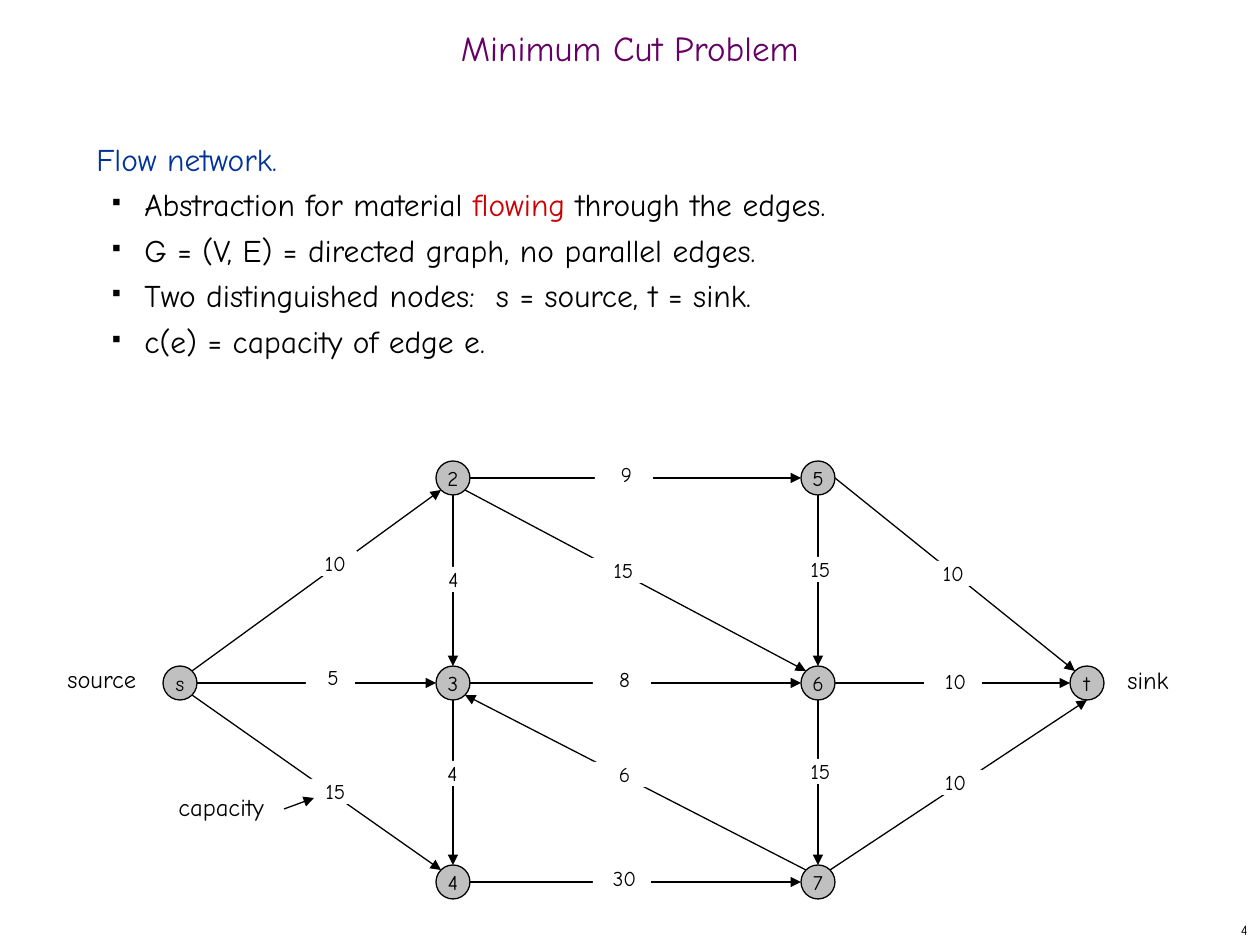
"""Build the Minimum Cut Problem slide with its flow network."""
from dataclasses import dataclass

from lxml.etree import SubElement
from pptx import Presentation
from pptx.dml.color import RGBColor
from pptx.enum.shapes import MSO_CONNECTOR as CONN, MSO_SHAPE as SHAPE
from pptx.enum.text import MSO_ANCHOR as ANCHOR, PP_ALIGN as ALIGN
from pptx.oxml.ns import qn
from pptx.util import Emu, Pt

FONT = "Comic Neue"
BLACK = RGBColor(0x00, 0x00, 0x00)
WHITE = RGBColor(0xFF, 0xFF, 0xFF)
GRAY = RGBColor(0xC0, 0xC0, 0xC0)
BLUE = RGBColor(0x00, 0x33, 0x99)
RED = RGBColor(0xCC, 0x00, 0x00)
PURPLE = RGBColor(0x66, 0x00, 0x66)

PX_PER_INCH = 126
RADIUS = 17
DIAGONAL = 12
LABEL_H = 25
SITES = {
    "N": (0, -RADIUS), "S": (0, RADIUS), "W": (-RADIUS, 0), "E": (RADIUS, 0),
    "NW": (-DIAGONAL, -DIAGONAL), "NE": (DIAGONAL, -DIAGONAL),
    "SW": (-DIAGONAL, DIAGONAL), "SE": (DIAGONAL, DIAGONAL),
}


@dataclass(frozen=True)
class Run:
    text: str
    color: RGBColor = BLACK


@dataclass(frozen=True)
class Node:
    x: int
    y: int


@dataclass(frozen=True)
class Edge:
    start: str
    start_site: str
    end: str
    end_site: str
    capacity: str
    x: int
    y: int
    width: int = 58
    pad: int = 5


@dataclass(frozen=True)
class Caption:
    text: str
    x: int
    y: int
    width: int


COLUMNS = (180, 453, 818, 1087)
ROWS = (478, 683, 882)
NODES = {
    name: Node(COLUMNS[col], ROWS[row])
    for name, col, row in (
        ("s", 0, 1), ("2", 1, 0), ("3", 1, 1), ("4", 1, 2),
        ("5", 2, 0), ("6", 2, 1), ("7", 2, 2), ("t", 3, 1),
    )
}
EDGES = (
    Edge("s", "NE", "2", "SW", "10", 299, 551, pad=15),
    Edge("s", "E", "3", "W", "5", 306, 665, width=49),
    Edge("s", "SE", "4", "NW", "15", 304, 779),
    Edge("2", "E", "5", "W", "9", 595, 462),
    Edge("2", "SE", "6", "NW", "15", 592, 558),
    Edge("2", "S", "3", "N", "4", 422, 567),
    Edge("3", "E", "6", "W", "8", 593, 667),
    Edge("3", "S", "4", "N", "4", 421, 761),
    Edge("4", "E", "7", "W", "30", 593, 866),
    Edge("7", "NW", "3", "SE", "6", 593, 762),
    Edge("5", "S", "6", "N", "15", 789, 557),
    Edge("6", "S", "7", "N", "15", 789, 759),
    Edge("5", "E", "t", "NW", "10", 917, 561, pad=15),
    Edge("6", "E", "t", "W", "10", 924, 669),
    Edge("7", "NE", "t", "S", "10", 924, 770),
)
CAPTIONS = (
    Caption("capacity", 166, 786, 111),
    Caption("source", 55, 658, 94),
    Caption("sink", 1115, 659, 67),
)
HEADING = Run("Flow network.", BLUE)
BULLETS = (
    (Run("Abstraction for material "), Run("flowing", RED), Run(" through the edges.")),
    (Run("G = (V, E) = directed graph, no parallel edges."),),
    (Run("Two distinguished nodes:  s = source, t = sink."),),
    (Run("c(e) = capacity of edge e."),),
)


def px(value: float) -> Emu:
    """Turn pixels into EMU."""
    return Emu(round(value * 914400 / PX_PER_INCH))


def add_runs(p, runs: tuple[Run, ...], size: int) -> None:
    """Append styled runs to a paragraph."""
    for run in runs:
        r = p.add_run()
        r.text = run.text
        r.font.name = FONT
        r.font.size = Pt(size)
        r.font.color.rgb = run.color


def add_text(slide, box: tuple[int, int, int, int], run: Run, size: int,
             align=ALIGN.LEFT, anchor=ANCHOR.TOP, wrap: bool = True):
    """Add a one-paragraph text box and return its paragraph."""
    tf = slide.shapes.add_textbox(*map(px, box)).text_frame
    tf.word_wrap = wrap
    tf.vertical_anchor = anchor
    p = tf.paragraphs[0]
    p.alignment = align
    add_runs(p, (run,), size)
    return p


def add_bullet(p) -> None:
    """Give a paragraph a small square bullet and a hanging indent."""
    pPr = p._p.get_or_add_pPr()
    pPr.set("marL", str(px(48)))
    pPr.set("indent", str(px(-32)))
    color = SubElement(pPr, qn("a:buClr"))
    SubElement(color, qn("a:srgbClr"), val=str(BLACK))
    SubElement(pPr, qn("a:buSzPct"), val="35000")
    SubElement(pPr, qn("a:buChar"), char="■")


def add_body(slide) -> None:
    """Add the heading and its bullet list."""
    tf = slide.shapes.add_textbox(*map(px, (84, 126, 1081, 746))).text_frame
    tf.word_wrap = True
    for i, runs in enumerate(((HEADING,), *BULLETS)):
        p = tf.add_paragraph() if i else tf.paragraphs[0]
        p.line_spacing = Pt(26)
        add_runs(p, runs, 18)
        if i:
            add_bullet(p)


def add_arrow(slide, x1: int, y1: int, x2: int, y2: int) -> None:
    """Add a thin black arrow."""
    cx = slide.shapes.add_connector(CONN.STRAIGHT, *map(px, (x1, y1, x2, y2)))
    cx.line.color.rgb = BLACK
    cx.line.width = Pt(0.75)
    SubElement(cx.line._get_or_add_ln(), qn("a:tailEnd"), type="triangle")
    SubElement(cx._element.spPr, qn("a:effectLst"))


def add_edge(slide, edge: Edge) -> None:
    """Draw the arrow between the two nodes of an edge."""
    a, b = NODES[edge.start], NODES[edge.end]
    (dx1, dy1), (dx2, dy2) = SITES[edge.start_site], SITES[edge.end_site]
    add_arrow(slide, a.x + dx1, a.y + dy1, b.x + dx2, b.y + dy2)


def add_filled(slide, kind, box: tuple[int, int, int, int], fill: RGBColor, text: str):
    """Add a filled shape with centred 12 pt text."""
    sp = slide.shapes.add_shape(kind, *map(px, box))
    sp.shadow.inherit = False
    sp.fill.solid()
    sp.fill.fore_color.rgb = fill
    p = sp.text_frame.paragraphs[0]
    p.alignment = ALIGN.CENTER
    add_runs(p, (Run(text),), 12)
    return sp


def add_node(slide, name: str, node: Node) -> None:
    """Draw a graph node."""
    box = (node.x - RADIUS, node.y - RADIUS, 2 * RADIUS, 2 * RADIUS)
    sp = add_filled(slide, SHAPE.OVAL, box, GRAY, name)
    sp.line.color.rgb = BLACK
    sp.line.width = Pt(0.75)
    sp.text_frame.word_wrap = False
    sp.text_frame.vertical_anchor = ANCHOR.MIDDLE


def add_capacity(slide, edge: Edge) -> None:
    """Draw the capacity that interrupts an edge."""
    box = (edge.x, edge.y, edge.width, LABEL_H)
    sp = add_filled(slide, SHAPE.RECTANGLE, box, WHITE, edge.capacity)
    sp.line.fill.background()
    tf = sp.text_frame
    tf.word_wrap = True
    tf.vertical_anchor = ANCHOR.TOP
    tf.margin_left = px(edge.pad)
    tf.margin_top = tf.margin_right = tf.margin_bottom = 0


def main() -> None:
    """Build and save the slide."""
    prs = Presentation()
    prs.slide_width, prs.slide_height = px(1260), px(945)
    s = prs.slides.add_slide(prs.slide_layouts[6])
    add_body(s)
    title = add_text(s, (0, 21, 1260, 63), Run("Minimum Cut Problem", PURPLE), 20,
                     ALIGN.CENTER, ANCHOR.MIDDLE)
    title.line_spacing = 0.7
    for edge in EDGES:
        add_edge(s, edge)
    for name, node in NODES.items():
        add_node(s, name, node)
    for edge in EDGES:
        add_capacity(s, edge)
    for c in CAPTIONS:
        add_text(s, (c.x, c.y, c.width, 42), Run(c.text), 14, wrap=False)
    add_arrow(s, 284, 809, 314, 798)
    add_text(s, (998, 914, 262, 31), Run("4"), 8, ALIGN.RIGHT, ANCHOR.MIDDLE)
    prs.save("out.pptx")


if __name__ == "__main__":
    main()
